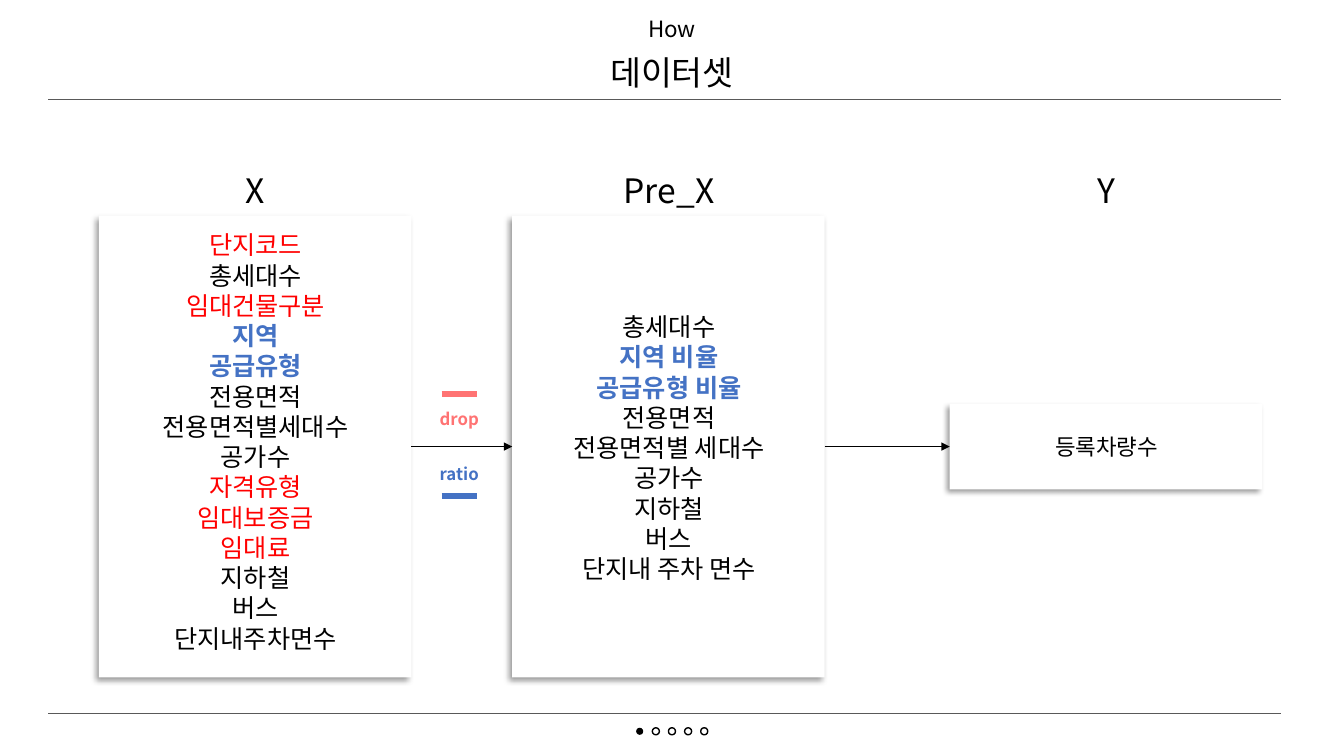
import pptx
import pptx.dml.color
import pptx.enum.shapes
import pptx.enum.text
import pptx.util
from lxml import etree
from pptx.oxml.ns import qn

Inches = pptx.util.Inches
Pt = pptx.util.Pt
Shapes = pptx.enum.shapes.MSO_SHAPE

FONT = "Noto Sans CJK KR"
BLACK, WHITE, GRAY = "000000", "FFFFFF", "595959"
RED, BLUE, CORAL = "FF0000", "4472C4", "FF7373"

RAW_FEATURES = [
    ("단지코드", RED), ("총세대수", BLACK), ("임대건물구분", RED),
    ("지역", BLUE), ("공급유형", BLUE), ("전용면적", BLACK),
    ("전용면적별세대수", BLACK), ("공가수", BLACK), ("자격유형", RED),
    ("임대보증금", RED), ("임대료", RED), ("지하철", BLACK),
    ("버스", BLACK), ("단지내주차면수", BLACK),
]
PREPARED_FEATURES = [
    ("총세대수", BLACK), ("지역 비율", BLUE), ("공급유형 비율", BLUE),
    ("전용면적", BLACK), ("전용면적별 세대수", BLACK), ("공가수", BLACK),
    ("지하철", BLACK), ("버스", BLACK), ("단지내 주차 면수", BLACK),
]
TARGET = [("등록차량수", BLACK)]

# title, card left, card height, text left, text top, text size, lines
COLUMNS = [
    ("X", 0.98, 4.58, 1.35, 2.23, 18, RAW_FEATURES),
    ("Pre_X", 5.08, 4.58, 5.45, 3.04, 18, PREPARED_FEATURES),
    ("Y", 9.42, 0.85, 9.79, 4.25, 16, TARGET),
]
HEADINGS = [("How", 5.84, 0.1, 1.65, 16), ("데이터셋", 5.48, 0.47, 2.37, 24)]
LEGEND = [("drop", CORAL, 4.01, 3.91), ("ratio", BLUE, 4.55, 4.92)]

CARD_WIDTH, CARD_MIDDLE = 3.1, 4.43
TEXT_WIDTH, TITLE_TOP = 2.37, 1.64
RULE_LEFT, RULE_RIGHT, RULE_TOPS = 0.48, 12.71, (0.99, 7.08)
DOT_COUNT, DOT_LEFT, DOT_TOP, DOT_SIZE, DOT_STEP = 5, 6.31, 7.22, 0.07, 0.16


def color(value):
    return pptx.dml.color.RGBColor.from_string(value)


def add_text(slide, left, top, width, size, lines, bold_colors=(BLUE, CORAL)):
    height = len(lines) * size * 1.21 / 72 + 0.1
    box = slide.shapes.add_textbox(
        Inches(left), Inches(top), Inches(width), Inches(height))
    frame = box.text_frame
    frame.word_wrap = True
    frame.auto_size = pptx.enum.text.MSO_AUTO_SIZE.SHAPE_TO_FIT_TEXT
    for index, (text, text_color) in enumerate(lines):
        paragraph = frame.add_paragraph() if index else frame.paragraphs[0]
        paragraph.text = text
        paragraph.alignment = pptx.enum.text.PP_ALIGN.CENTER
        font = paragraph.font
        font.name = FONT
        font.size = Pt(size)
        font.bold = text_color in bold_colors
        font.color.rgb = color(text_color)
        properties = paragraph._p.pPr.find(qn("a:defRPr"))
        etree.SubElement(properties, qn("a:ea"), typeface=FONT)


def add_line(slide, left, top, right, line_color, width, arrow=False):
    line = slide.shapes.add_connector(
        pptx.enum.shapes.MSO_CONNECTOR.STRAIGHT,
        Inches(left), Inches(top), Inches(right), Inches(top))
    line.line.color.rgb = color(line_color)
    line.line.width = Pt(width)
    if arrow:
        etree.SubElement(line.line._get_or_add_ln(), qn("a:tailEnd"), type="triangle")
    etree.SubElement(line._element.spPr, qn("a:effectLst"))


def add_card(slide, left, height):
    card = slide.shapes.add_shape(
        Shapes.RECTANGLE, Inches(left), Inches(CARD_MIDDLE - height / 2),
        Inches(CARD_WIDTH), Inches(height))
    card.fill.solid()
    card.fill.fore_color.rgb = color(WHITE)
    card.line.fill.background()
    card.shadow.inherit = False
    effects = card._element.spPr.find(qn("a:effectLst"))
    shadow = etree.SubElement(
        effects, qn("a:outerShdw"), blurRad=str(Pt(4)), dist=str(Pt(3)),
        dir=str(135 * 60000), algn="tr", rotWithShape="0")
    shadow_color = etree.SubElement(shadow, qn("a:srgbClr"), val=BLACK)
    etree.SubElement(shadow_color, qn("a:alpha"), val="40000")


def add_page_dots(slide):
    group = slide.shapes.add_group_shape()
    for index in range(DOT_COUNT):
        dot = group.shapes.add_shape(
            Shapes.OVAL, Inches(DOT_LEFT + index * DOT_STEP), Inches(DOT_TOP),
            Inches(DOT_SIZE), Inches(DOT_SIZE))
        dot.shadow.inherit = False
        dot.fill.solid()
        dot.fill.fore_color.rgb = color(WHITE if index else BLACK)
        if index:
            dot.line.color.rgb = color(BLACK)
            dot.line.width = Pt(1)
        else:
            dot.line.fill.background()


def main():
    presentation = pptx.Presentation()
    presentation.slide_width = Inches(13.33)
    presentation.slide_height = Inches(7.5)
    slide = presentation.slides.add_slide(presentation.slide_layouts[6])

    for top in RULE_TOPS:
        add_line(slide, RULE_LEFT, top, RULE_RIGHT, GRAY, 0.75)
    for text, left, top, width, size in HEADINGS:
        add_text(slide, left, top, width, size, [(text, BLACK)])
    for title, card_left, height, text_left, text_top, size, lines in COLUMNS:
        add_card(slide, card_left, height)
        add_text(slide, text_left, TITLE_TOP, TEXT_WIDTH, 24, [(title, BLACK)])
        add_text(slide, text_left, text_top, TEXT_WIDTH, size, lines)
    for source, target in zip(COLUMNS, COLUMNS[1:]):
        add_line(slide, source[1] + CARD_WIDTH, CARD_MIDDLE, target[1], BLACK, 1, True)
    for text, text_color, text_top, bar_top in LEGEND:
        add_line(slide, 4.38, bar_top, 4.73, text_color, 4.5)
        add_text(slide, 4.11, text_top, 0.89, 12, [(text, text_color)])
    add_page_dots(slide)

    presentation.save("out.pptx")


if __name__ == "__main__":
    main()
